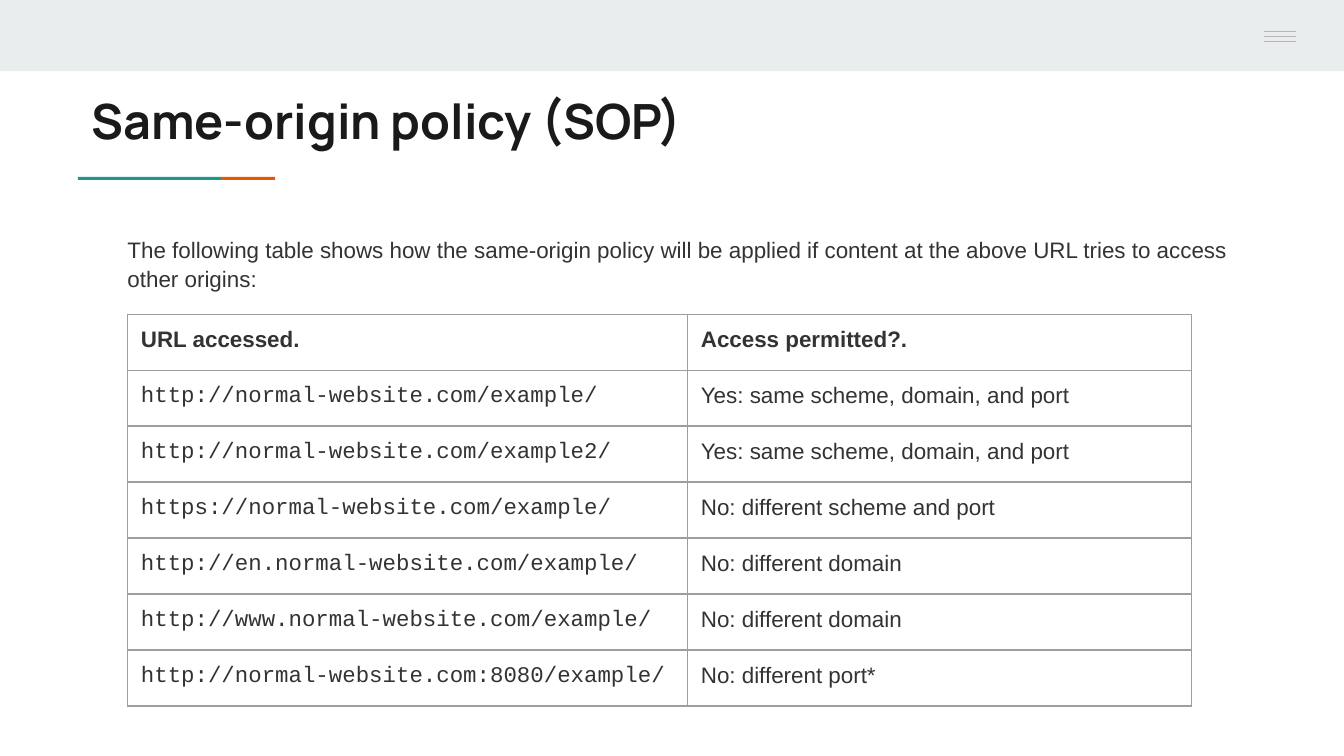
from dataclasses import dataclass

from lxml import etree
from pptx import Presentation
from pptx import util as u
from pptx.dml.color import RGBColor
from pptx.enum import shapes, text
from pptx.oxml import ns

COLOURS = {
    "band": "E9EDEE",
    "teal": "1A9988",
    "orange": "EB5600",
    "menu": "B7B7B7",
    "title": "1A1A1A",
    "body": "333332",
    "border": "9E9E9E",
}
INSET = 7.2
LINE_WIDTH = 0.75


@dataclass
class Bar:
    left: float
    top: float
    width: float
    height: float
    colour: str


@dataclass
class Access:
    url: str
    verdict: str


BARS = [
    Bar(0, 0, 720, 38.2, "band"),
    Bar(652.3, 0, 67.7, 36, "band"),
    Bar(41.8, 94.8, 76.6, 1.6, "teal"),
    Bar(118.4, 94.8, 29, 1.6, "orange"),
]
HEADER = Access("URL accessed.", "Access permitted?.")
ACCESSES = [
    Access("http://normal-website.com/example/", "Yes: same scheme, domain, and port"),
    Access("http://normal-website.com/example2/", "Yes: same scheme, domain, and port"),
    Access("https://normal-website.com/example/", "No: different scheme and port"),
    Access("http://en.normal-website.com/example/", "No: different domain"),
    Access("http://www.normal-website.com/example/", "No: different domain"),
    Access("http://normal-website.com:8080/example/", "No: different port*"),
]
COLUMN_WIDTHS = (300, 270)
ROW_HEIGHT = 30


def rgb(name: str) -> RGBColor:
    return RGBColor.from_string(COLOURS[name])


def write(frame, words: str, *, size: float = 12, font: str = "Arial",
          colour: str = "body", bold: bool = False, spacing: float = 1.0) -> None:
    """Put one formatted paragraph into a text frame."""
    frame.word_wrap = True
    para = frame.paragraphs[0]
    para.alignment = text.PP_ALIGN.LEFT
    para.line_spacing = spacing
    span = para.add_run()
    span.text = words
    span.font.size = u.Pt(size)
    span.font.name = font
    span.font.bold = bold
    span.font.color.rgb = rgb(colour)


def set_insets(target) -> None:
    for side in ("left", "top", "right", "bottom"):
        setattr(target, f"margin_{side}", u.Pt(INSET))


def place(shape, left: float, top: float, width: float, height: float) -> None:
    shape.left, shape.top = u.Pt(left), u.Pt(top)
    shape.width, shape.height = u.Pt(width), u.Pt(height)


def draw_bar(page, bar: Bar) -> None:
    shape = page.shapes.add_shape(
        shapes.MSO_SHAPE.RECTANGLE,
        u.Pt(bar.left), u.Pt(bar.top), u.Pt(bar.width), u.Pt(bar.height))
    shape.shadow.inherit = False
    shape.fill.solid()
    shape.fill.fore_color.rgb = rgb(bar.colour)
    shape.line.fill.background()


def draw_menu_line(page, top: float) -> None:
    line = page.shapes.add_connector(
        shapes.MSO_CONNECTOR.STRAIGHT,
        u.Pt(677), u.Pt(top), u.Pt(694.2), u.Pt(top))
    line.line.color.rgb = rgb("menu")
    line.line.width = u.Pt(LINE_WIDTH)
    etree.SubElement(line._element.spPr, ns.qn("a:effectLst"))


def add_borders(cell) -> None:
    properties = cell._tc.get_or_add_tcPr()
    for side in ("lnL", "lnR", "lnT", "lnB"):
        edge = etree.SubElement(properties, ns.qn(f"a:{side}"), w=str(u.Pt(LINE_WIDTH)))
        fill = etree.SubElement(edge, ns.qn("a:solidFill"))
        etree.SubElement(fill, ns.qn("a:srgbClr"), val=COLOURS["border"])


def fill_cell(cell, words: str, **style) -> None:
    set_insets(cell)
    add_borders(cell)
    cell.fill.background()
    write(cell.text_frame, words, **style)


def draw_access_table(page) -> None:
    row_count = len(ACCESSES) + 1
    table = page.shapes.add_table(
        row_count, len(COLUMN_WIDTHS), u.Pt(68.3), u.Pt(168.3),
        u.Pt(sum(COLUMN_WIDTHS)), u.Pt(ROW_HEIGHT * row_count)).table
    table.first_row = table.horz_banding = False
    for column, width in zip(table.columns, COLUMN_WIDTHS):
        column.width = u.Pt(width)
    for index, access in enumerate([HEADER, *ACCESSES]):
        is_header = index == 0
        fill_cell(table.cell(index, 0), access.url, bold=is_header,
                  font="Arial" if is_header else "Courier New")
        fill_cell(table.cell(index, 1), access.verdict, bold=is_header)


def main() -> None:
    deck = Presentation()
    deck.slide_width, deck.slide_height = u.Pt(720), u.Pt(405)
    page = deck.slides.add_slide(deck.slide_layouts[5])

    # Header band, accent rule and menu icon
    for bar in BARS:
        draw_bar(page, bar)
    for step in range(3):
        draw_menu_line(page, 16.75 + 2.75 * step)

    # Title
    title = page.shapes.title
    place(title, 41.8, 43.9, 605.5, 42.5)
    set_insets(title.text_frame)
    title.text_frame.auto_size = text.MSO_AUTO_SIZE.NONE
    title.text_frame.vertical_anchor = text.MSO_ANCHOR.TOP
    write(title.text_frame, "Same-origin policy (SOP)", size=26, font="Manrope",
          colour="title", bold=True, spacing=0.95)

    # Introduction
    box = page.shapes.add_textbox(u.Pt(61.2), u.Pt(118.8), u.Pt(605.5), u.Pt(61.2))
    set_insets(box.text_frame)
    write(box.text_frame,
          "The following table shows how the same-origin policy will be applied "
          "if content at the above URL tries to access other origins:",
          spacing=1.05)

    # Table of URLs and outcomes
    draw_access_table(page)
    deck.save("out.pptx")


if __name__ == "__main__":
    main()
